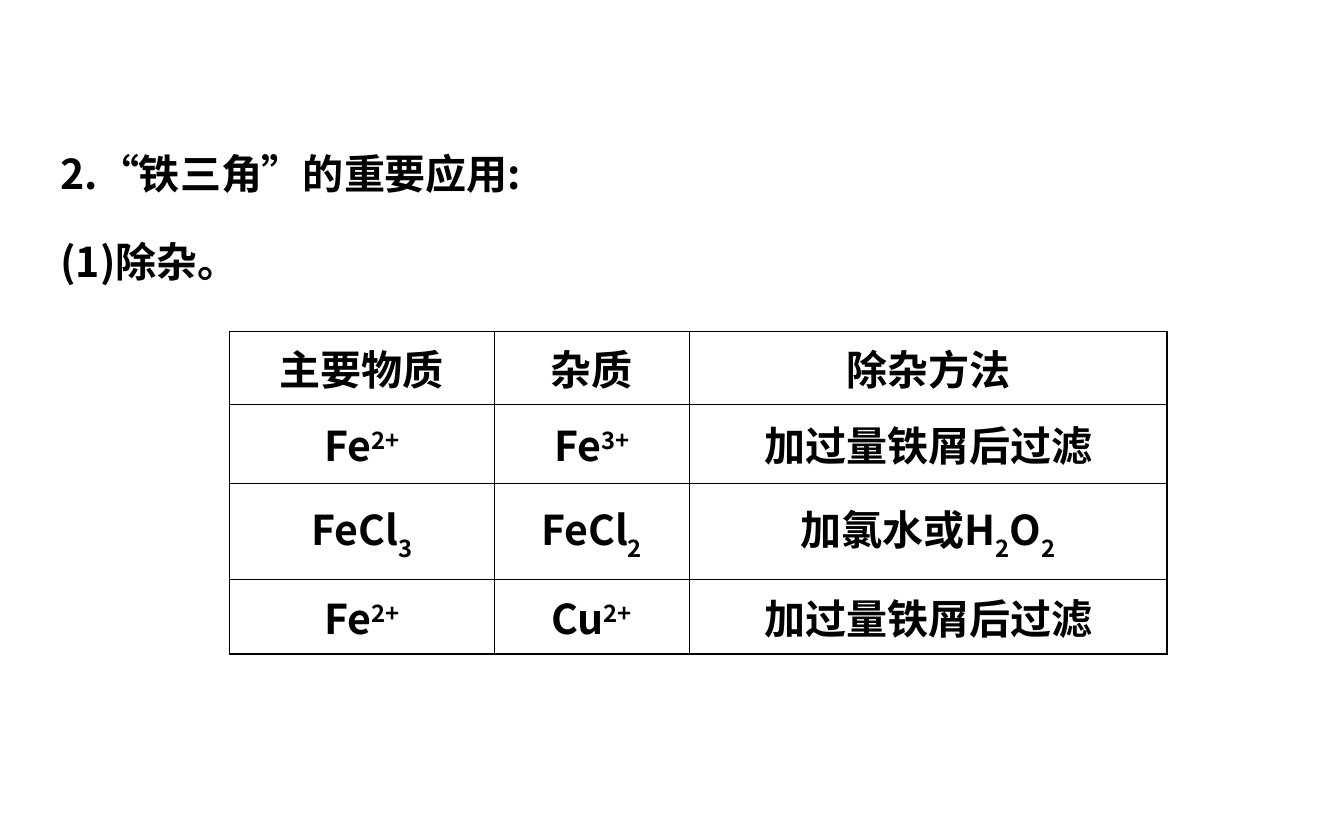
from lxml.etree import SubElement
from pptx import Presentation
from pptx.dml.color import RGBColor
from pptx.enum.lang import MSO_LANGUAGE_ID
from pptx.enum.text import MSO_ANCHOR, MSO_AUTO_SIZE, PP_ALIGN
from pptx.oxml import parse_xml
from pptx.oxml.ns import nsdecls, qn
from pptx.util import Cm, Pt

BLACK = RGBColor(0, 0, 0)
FONT = "Noto Sans CJK SC"
THIN, THICK = Pt(0.45), Pt(0.96)
SUPER, SUB = 30000, -30000
HEADING = ["2.“铁三角”的重要应用:", "(1)除杂。"]
COLUMN_WIDTHS = [5, 3.68, 9.04]
ROW_HEIGHTS = [1.19, 1.5, 1.8, 1.42]
IRON_TWO = [("Fe", 0), ("2+", SUPER)]
FILTERING = [("加过量铁屑后过滤", 0)]
ROWS = [
    [[("主要物质", 0)], [("杂质", 0)], [("除杂方法", 0)]],
    [IRON_TWO, [("Fe", 0), ("3+", SUPER)], FILTERING],
    [
        [("FeCl", 0), ("3", SUB)],
        [("FeCl", 0), ("2", SUB)],
        [("加氯水或H", 0), ("2", SUB), ("O", 0), ("2", SUB)],
    ],
    [IRON_TWO, [("Cu", 0), ("2+", SUPER)], FILTERING],
]


def format_span(span, baseline=0):
    """Apply the slide's typeface and an optional raised or lowered baseline."""
    font = span.font
    font.name = FONT
    font.size = Pt(22)
    font.bold = True
    font.color.rgb = BLACK
    font.language_id = MSO_LANGUAGE_ID.SIMPLIFIED_CHINESE
    properties = span._r.get_or_add_rPr()
    SubElement(properties, qn("a:ea")).set("typeface", FONT)
    if baseline:
        properties.set("baseline", str(baseline))


def set_borders(cell, widths):
    """Draw solid borders of the given widths on the sides L, R, T and B."""
    properties = cell._tc.get_or_add_tcPr()
    for index, (side, width) in enumerate(widths.items()):
        line = parse_xml(
            f'<a:ln{side} {nsdecls("a")} w="{int(width)}"><a:solidFill>'
            f'<a:srgbClr val="{BLACK}"/></a:solidFill></a:ln{side}>'
        )
        properties.insert(index, line)


def place_heading(page, left, top, width, height):
    """Fill the title placeholder with the heading lines."""
    box = page.shapes.title
    box.left, box.top, box.width, box.height = left, top, width, height
    frame = box.text_frame
    frame.word_wrap = True
    frame.auto_size = MSO_AUTO_SIZE.NONE
    frame.vertical_anchor = MSO_ANCHOR.TOP
    frame.text = "\n".join(HEADING)
    for para in frame.paragraphs:
        para.alignment = PP_ALIGN.LEFT
        para.line_spacing = 1.8
        for span in para.runs:
            format_span(span)


def fill_cell(cell, pieces):
    """Write centred text pieces into an unfilled cell."""
    cell.fill.background()
    cell.vertical_anchor = MSO_ANCHOR.MIDDLE
    para = cell.text_frame.paragraphs[0]
    para.alignment = PP_ALIGN.CENTER
    for text, baseline in pieces:
        span = para.add_run()
        span.text = text
        format_span(span, baseline)


def place_table(page, left, top, width, height):
    """Build the purification table with a heavier outer frame."""
    last_row, last_column = len(ROWS) - 1, len(COLUMN_WIDTHS) - 1
    table = page.shapes.add_table(
        len(ROWS), len(COLUMN_WIDTHS), left, top, width, height
    ).table
    table.first_row = False
    table.horz_banding = False
    for column, column_width in zip(table.columns, COLUMN_WIDTHS):
        column.width = Cm(column_width)
    for row, row_height in zip(table.rows, ROW_HEIGHTS):
        row.height = Cm(row_height)
    for row_index, row in enumerate(ROWS):
        for column_index, pieces in enumerate(row):
            cell = table.cell(row_index, column_index)
            fill_cell(cell, pieces)
            set_borders(cell, {
                "L": THICK if column_index == 0 else THIN,
                "R": THICK if column_index == last_column else THIN,
                "T": THICK if row_index == 0 else THIN,
                "B": THICK if row_index == last_row else THIN,
            })


def main():
    """Create the slide and save the deck."""
    deck = Presentation()
    deck.slide_width, deck.slide_height = Cm(25.4), Cm(15.88)
    page = deck.slides.add_slide(deck.slide_layouts.get_by_name("Title Only"))
    place_heading(page, Cm(0.89), Cm(1.93), Cm(23.95), Cm(3.61))
    place_table(page, Cm(4.34), Cm(6.27), Cm(sum(COLUMN_WIDTHS)), Cm(sum(ROW_HEIGHTS)))
    deck.save("out.pptx")


if __name__ == "__main__":
    main()
